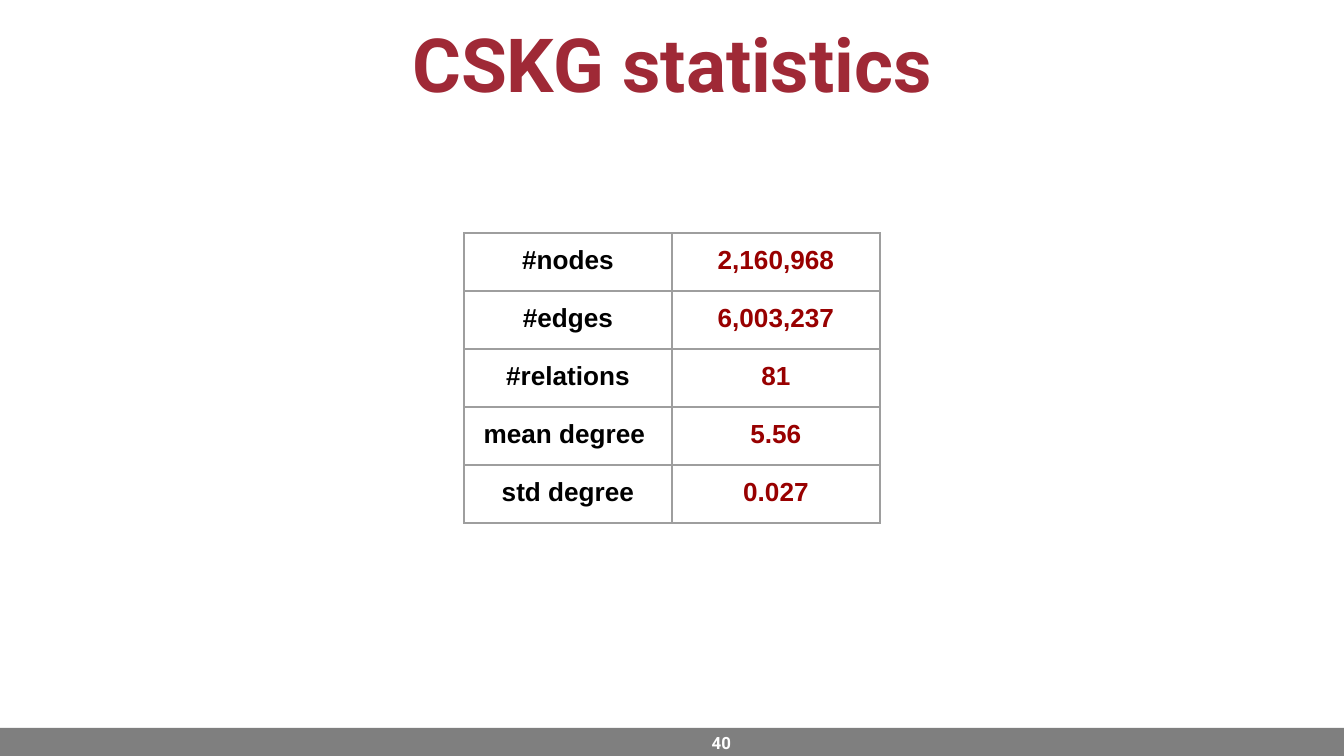
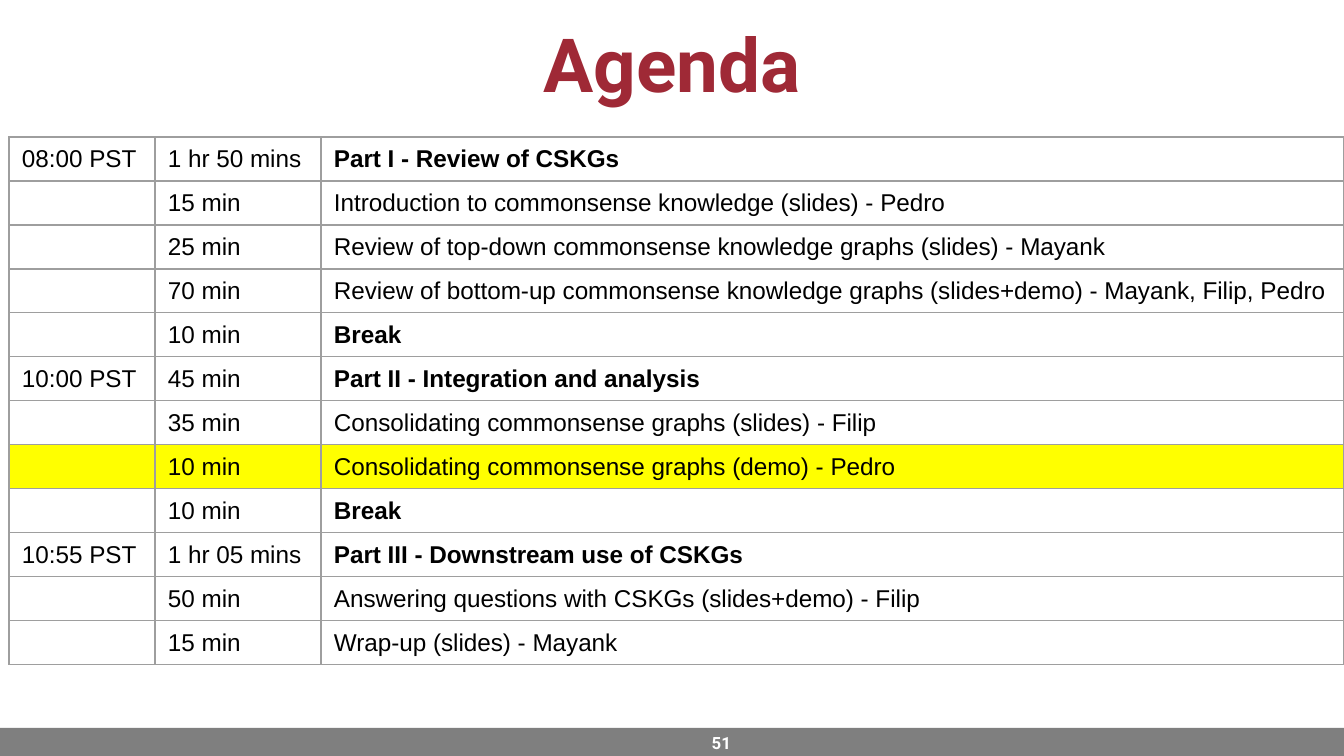
import dataclasses
import typing

import lxml.etree
import pptx
import pptx.dml.color
import pptx.enum.shapes
import pptx.enum.text
import pptx.oxml.ns
import pptx.util

# Shared measures (px), colours and fonts
PAGE_WIDTH, PAGE_HEIGHT = 1344, 756
EMU_PER_PX = 9144000 / PAGE_WIDTH
INSET_X, INSET_Y = 13, 7

CRIMSON, DARK_RED = "9F2936", "980000"
BLACK, WHITE, YELLOW = "000000", "FFFFFF", "FFFF00"
BAND_GREY, BORDER_GREY = "7F7F7F", "9E9E9E"
TITLE_FONT, TABLE_FONT = "Roboto", "Arial"

ALIGN = pptx.enum.text.PP_ALIGN
ANCHOR = pptx.enum.text.MSO_ANCHOR


@dataclasses.dataclass(frozen=True)
class CellText:
    text: str
    bold: bool = False
    color: str = BLACK
    fill: str | None = None


@dataclasses.dataclass(frozen=True)
class Grid:
    left: int
    top: int
    columns: tuple[int, ...]
    row_height: int
    size: int
    inset_y: int
    align: typing.Any
    anchor: typing.Any
    rows: list[list[CellText]]


@dataclasses.dataclass(frozen=True)
class PageContent:
    title: str
    number: int
    grid: Grid


# Content
STATISTICS = [
    ("#nodes", "2,160,968"),
    ("#edges", "6,003,237"),
    ("#relations", "81"),
    ("mean degree ", "5.56"),
    ("std degree", "0.027"),
]

AGENDA = [
    ("08:00 PST", "1 hr 50 mins", "Part I - Review of CSKGs"),
    ("", "15 min", "Introduction to commonsense knowledge (slides) - Pedro"),
    ("", "25 min", "Review of top-down commonsense knowledge graphs (slides) - Mayank"),
    ("", "70 min", "Review of bottom-up commonsense knowledge graphs (slides+demo) - Mayank, Filip, Pedro"),
    ("", "10 min", "Break"),
    ("10:00 PST", "45 min", "Part II - Integration and analysis"),
    ("", "35 min", "Consolidating commonsense graphs (slides) - Filip"),
    ("", "10 min", "Consolidating commonsense graphs (demo) - Pedro"),
    ("", "10 min", "Break"),
    ("10:55 PST", "1 hr 05 mins", "Part III - Downstream use of CSKGs"),
    ("", "50 min", "Answering questions with CSKGs (slides+demo) - Filip"),
    ("", "15 min", "Wrap-up (slides) - Mayank"),
]
CURRENT_TOPIC = "Consolidating commonsense graphs (demo) - Pedro"


def agenda_row(start: str, duration: str, topic: str) -> list[CellText]:
    """Sessions and breaks are bold; the current topic is highlighted."""
    fill = YELLOW if topic == CURRENT_TOPIC else None
    heading = bool(start) or topic == "Break"
    return [
        CellText(start, fill=fill),
        CellText(duration, fill=fill),
        CellText(topic, bold=heading, fill=fill),
    ]


PAGES = [
    PageContent("CSKG statistics", 40, Grid(
        left=464, top=233, columns=(208, 208), row_height=58, size=14,
        inset_y=13, align=ALIGN.CENTER, anchor=ANCHOR.TOP,
        rows=[[CellText(name, True), CellText(value, True, DARK_RED)]
              for name, value in STATISTICS])),
    PageContent("Agenda", 51, Grid(
        left=9, top=137, columns=(146, 166, 1023), row_height=44, size=13,
        inset_y=0, align=ALIGN.LEFT, anchor=ANCHOR.MIDDLE,
        rows=[agenda_row(*entry) for entry in AGENDA])),
]


# Helpers
def px(length: int) -> pptx.util.Emu:
    return pptx.util.Emu(round(length * EMU_PER_PX))


def rgb(color: str) -> pptx.dml.color.RGBColor:
    return pptx.dml.color.RGBColor.from_string(color)


def write(frame, text: str, *, size: int, font: str, color: str,
          bold: bool = False, align=ALIGN.LEFT) -> None:
    para = frame.paragraphs[0]
    para.alignment = align
    span = para.add_run()
    span.text = text
    span.font.size = pptx.util.Pt(size)
    span.font.name = font
    span.font.bold = bold
    span.font.color.rgb = rgb(color)


def set_insets(target, inset_y: int) -> None:
    """Set the margins of a text frame or a table cell."""
    target.margin_left = target.margin_right = px(INSET_X)
    target.margin_top = target.margin_bottom = px(inset_y)


def prepare_frame(frame) -> None:
    frame.word_wrap = True
    frame.auto_size = pptx.enum.text.MSO_AUTO_SIZE.NONE
    frame.vertical_anchor = ANCHOR.MIDDLE
    set_insets(frame, INSET_Y)


def add_borders(cell) -> None:
    properties = cell._tc.get_or_add_tcPr()
    qn = pptx.oxml.ns.qn
    for position, side in enumerate(("a:lnL", "a:lnR", "a:lnT", "a:lnB")):
        line = lxml.etree.Element(qn(side), w=str(pptx.util.Pt(0.75)))
        fill = lxml.etree.SubElement(line, qn("a:solidFill"))
        lxml.etree.SubElement(fill, qn("a:srgbClr"), val=BORDER_GREY)
        properties.insert(position, line)


# Slide parts
def add_title(page, text: str) -> None:
    title = page.shapes.title
    title.left, title.top = px(0), px(0)
    title.width, title.height = px(PAGE_WIDTH), px(125)
    prepare_frame(title.text_frame)
    write(title.text_frame, text, size=40, font=TITLE_FONT, color=CRIMSON,
          bold=True, align=ALIGN.CENTER)


def add_footer(page, number: int) -> None:
    band = page.shapes.add_shape(
        pptx.enum.shapes.MSO_SHAPE.RECTANGLE,
        px(0), px(728), px(PAGE_WIDTH), px(PAGE_HEIGHT - 728))
    band.shadow.inherit = False
    band.fill.solid()
    band.fill.fore_color.rgb = rgb(BAND_GREY)
    band.line.fill.background()

    box = page.shapes.add_textbox(px(684), px(723), px(60), px(40))
    prepare_frame(box.text_frame)
    write(box.text_frame, str(number), size=9, font=TITLE_FONT, color=WHITE,
          bold=True, align=ALIGN.RIGHT)


def add_grid(page, grid: Grid) -> None:
    table = page.shapes.add_table(
        len(grid.rows), len(grid.columns), px(grid.left), px(grid.top),
        px(sum(grid.columns)), px(grid.row_height * len(grid.rows))).table
    table.first_row = table.horz_banding = False
    for column, width in zip(table.columns, grid.columns):
        column.width = px(width)
    for row, entries in zip(table.rows, grid.rows):
        row.height = px(grid.row_height)
        for cell, entry in zip(row.cells, entries):
            set_insets(cell, grid.inset_y)
            cell.vertical_anchor = grid.anchor
            if entry.fill:
                cell.fill.solid()
                cell.fill.fore_color.rgb = rgb(entry.fill)
            else:
                cell.fill.background()
            add_borders(cell)
            if entry.text:
                write(cell.text_frame, entry.text, size=grid.size,
                      font=TABLE_FONT, color=entry.color, bold=entry.bold,
                      align=grid.align)


def main() -> None:
    deck = pptx.Presentation()
    deck.slide_width, deck.slide_height = px(PAGE_WIDTH), px(PAGE_HEIGHT)
    title_only = deck.slide_layouts[5]
    for content in PAGES:
        page = deck.slides.add_slide(title_only)
        add_title(page, content.title)
        add_footer(page, content.number)
        add_grid(page, content.grid)
    deck.save("out.pptx")


if __name__ == "__main__":
    main()
